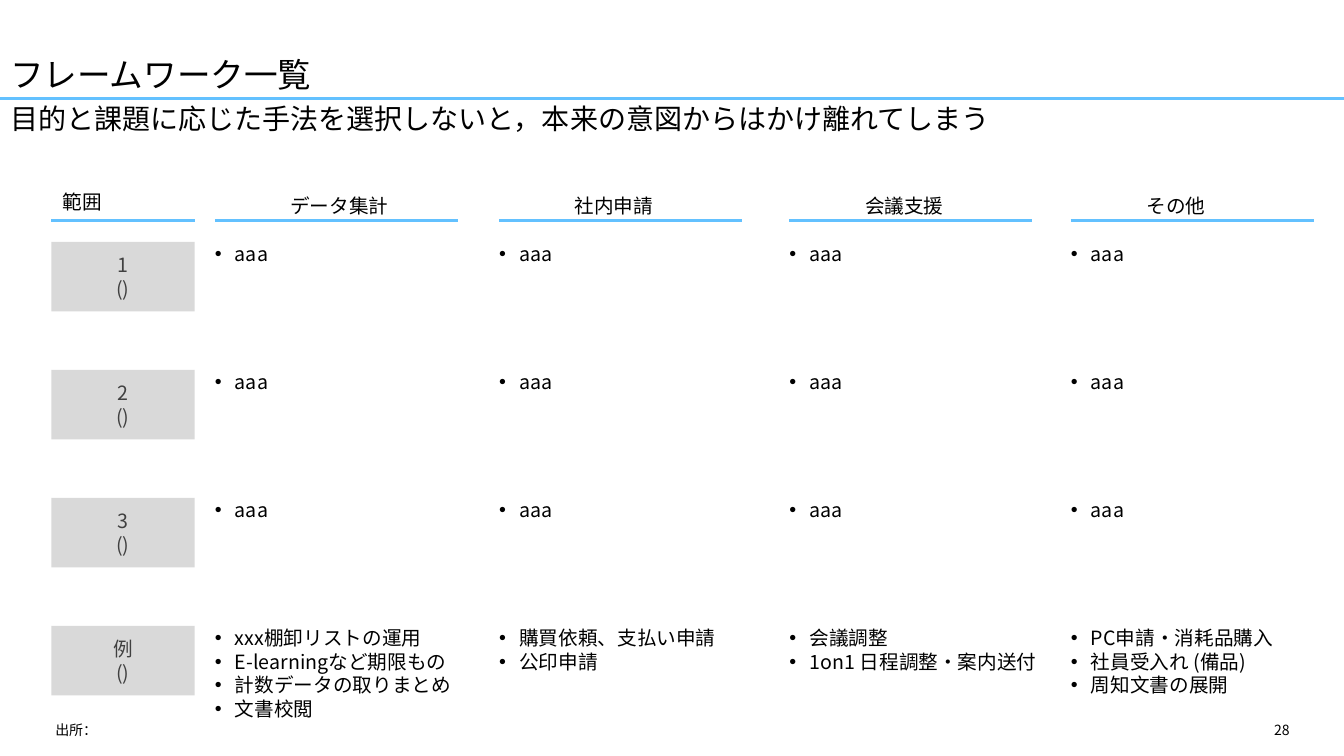
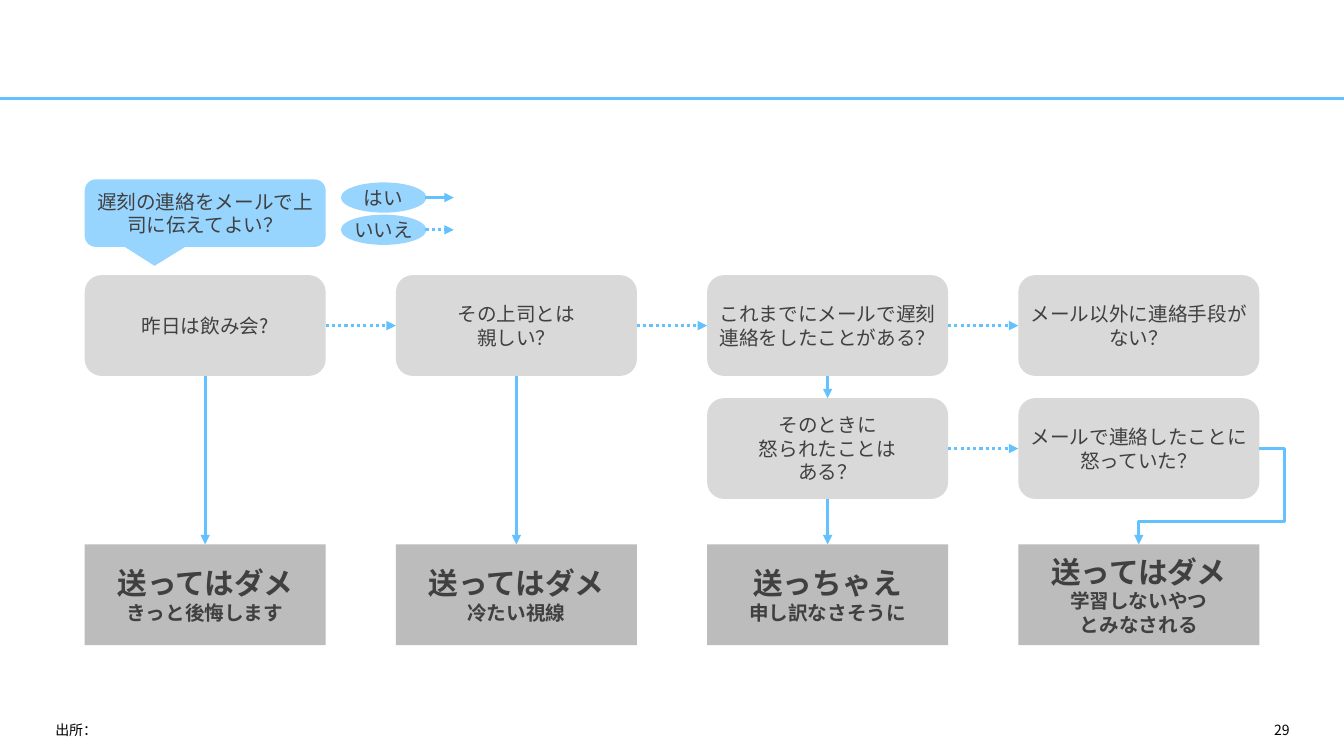
from lxml.etree import SubElement
from pptx import Presentation
from pptx.dml.color import RGBColor
from pptx.enum.dml import MSO_LINE
from pptx.enum.shapes import MSO_CONNECTOR as Connector, MSO_SHAPE as Preset
from pptx.enum.text import MSO_ANCHOR as Anchor, MSO_AUTO_SIZE as AutoSize, PP_ALIGN as Align
from pptx.oxml.ns import qn
from pptx.util import Inches, Pt

# Shared style
FONT = "Noto Sans CJK JP"
BLACK, DARK = "000000", "404040"
ACCENT, LIGHT_BLUE = "63C1FF", "97D5FF"
GRAY, RESULT_GRAY = "D9D9D9", "595959"
SLIDE_WIDTH, SLIDE_HEIGHT = 13.33, 7.5
TITLE_BOTTOM = 0.98
SOURCE_LABEL = "出所："

# Slide 1 content
TITLE = "フレームワーク一覧"
MESSAGE = "目的と課題に応じた手法を選択しないと，本来の意図からはかけ離れてしまう"
SCOPE_HEADER = "範囲"
SCOPES = ["1", "2", "3", "例"]
SAMPLE = ["aaa"]
COLUMNS = [  # heading, left, examples for the last row
    ("データ集計", 2.13, ["xxx棚卸リストの運用", "E-learningなど期限もの",
                      "計数データの取りまとめ", "文書校閲"]),
    ("社内申請", 4.95, ["購買依頼、支払い申請", "公印申請"]),
    ("会議支援", 7.83, ["会議調整", "1on1 日程調整・案内送付"]),
    ("その他", 10.62, ["PC申請・消耗品購入", "社員受入れ (備品)", "周知文書の展開"]),
]
SCOPE_LEFT, SCOPE_WIDTH, SCOPE_HEIGHT = 0.51, 1.42, 0.69
ROW_TOP, ROW_STEP = 2.4, 1.27
HEADER_RULE_TOP = 2.19

# Slide 2 content
THEME_QUESTION = "遅刻の連絡をメールで上司に伝えてよい？"
LEGEND = [("はい", 1.81, False), ("いいえ", 2.13, True)]
QUESTIONS = [  # column, row, lines
    (0, 0, ["昨日は飲み会?"]),
    (1, 0, ["その上司とは", "親しい？"]),
    (2, 0, ["これまでにメールで遅刻連絡をしたことがある？"]),
    (3, 0, ["メール以外に連絡手段がない？"]),
    (2, 1, ["そのときに", "怒られたことは", "ある？"]),
    (3, 1, ["メールで連絡したことに怒っていた？"]),
]
RESULTS = [
    ["送ってはダメ", "きっと後悔します"],
    ["送ってはダメ", "冷たい視線"],
    ["送っちゃえ", "申し訳なさそうに"],
    ["送ってはダメ", "学習しないやつ", "とみなされる"],
]
RESULT_ROW = 2
YES_LINKS = [((0, 0), (0, 2)), ((1, 0), (1, 2)), ((2, 0), (2, 1)), ((2, 1), (2, 2))]
NO_LINKS = [((0, 0), (1, 0)), ((1, 0), (2, 0)), ((2, 0), (3, 0)), ((2, 1), (3, 1))]
FLOW_LEFT = 0.84
FLOW_STEP = (10.1 - FLOW_LEFT) / 3
FLOW_TOPS = [2.73, 3.95, 5.4]
BOX_WIDTH, BOX_HEIGHT = 2.39, 1
TOP_SITE, LEFT_SITE, BOTTOM_SITE, RIGHT_SITE = range(4)


def color(value):
    return RGBColor.from_string(value)


def place(shape, left, top, width, height):
    shape.left, shape.top = Inches(left), Inches(top)
    shape.width, shape.height = Inches(width), Inches(height)


def write(frame, lines, size=14, ink=BLACK, align=Align.LEFT, inset=0, bullet=None,
          first_size=None, bold=False):
    """Fill a frame; bullet is None (inherit), a character, or "" for none."""
    frame.margin_left = frame.margin_right = Inches(inset)
    frame.margin_top = frame.margin_bottom = Inches(inset / 2)
    frame.auto_size = AutoSize.NONE
    for index, line in enumerate(lines):
        paragraph = frame.paragraphs[0] if index == 0 else frame.add_paragraph()
        paragraph.text = line
        paragraph.alignment = align
        paragraph.space_before = Pt(0)
        if bullet is not None:
            properties = paragraph._p.get_or_add_pPr()
            indent = Inches(0.2) if bullet else 0
            properties.set("marL", str(indent))
            properties.set("indent", str(-indent))
            if bullet:
                SubElement(properties, qn("a:buFont")).set("typeface", "Arial")
                SubElement(properties, qn("a:buChar")).set("char", bullet)
            else:
                SubElement(properties, qn("a:buNone"))
        font = paragraph.font
        font.name, font.bold = FONT, bold
        font.size = Pt(first_size if first_size and index == 0 else size)
        font.color.rgb = color(ink)
        defaults = paragraph._p.pPr.find(qn("a:defRPr"))
        SubElement(defaults, qn("a:ea")).set("typeface", FONT)


def add_text(slide, lines, left, top, width, height, wrap=True, **style):
    frame = slide.shapes.add_textbox(
        Inches(left), Inches(top), Inches(width), Inches(height)).text_frame
    frame.word_wrap = wrap
    write(frame, lines, **style)


def add_box(slide, preset, lines, left, top, width, height, fill, **style):
    shape = slide.shapes.add_shape(
        preset, Inches(left), Inches(top), Inches(width), Inches(height))
    shape.shadow.inherit = False
    shape.fill.solid()
    shape.fill.fore_color.rgb = color(fill)
    shape.line.fill.background()
    shape.text_frame.word_wrap = True
    shape.text_frame.vertical_anchor = Anchor.MIDDLE
    write(shape.text_frame, lines, ink=DARK, align=Align.CENTER, **style)
    return shape


def add_line(slide, start=(0, 0), end=(0, 0), arrow=False, dotted=False,
             kind=Connector.STRAIGHT):
    line = slide.shapes.add_connector(kind, *(Inches(value) for value in (*start, *end)))
    line.line.color.rgb = color(ACCENT)
    line.line.width = Pt(2.25)
    if dotted:
        line.line.dash_style = MSO_LINE.ROUND_DOT
    if arrow:
        SubElement(line.line._get_or_add_ln(), qn("a:tailEnd")).set("type", "triangle")
    SubElement(line._element.spPr, qn("a:effectLst"))
    return line


def link(slide, source, source_site, target, target_site, **style):
    line = add_line(slide, arrow=True, **style)
    line.begin_connect(source, source_site)
    line.end_connect(target, target_site)
    return line


def add_frame(slide, number):
    """Title rule, source label and page number of every slide."""
    add_line(slide, (0, TITLE_BOTTOM), (SLIDE_WIDTH, TITLE_BOTTOM))
    add_text(slide, [SOURCE_LABEL], 0.45, 7.11, 8.47, 0.24, size=10, inset=0.1)
    add_text(slide, [str(number)], 9.42, 7.11, 3.47, 0.24, size=10, inset=0.1,
             align=Align.RIGHT)


def build_framework_list(presentation):
    slide = presentation.slides.add_slide(presentation.slide_layouts[1])
    add_frame(slide, 28)

    # Title and message
    title, message = slide.shapes.title, slide.placeholders[1]
    place(title, 0, 0, SLIDE_WIDTH, 0.99)
    title.text_frame.vertical_anchor = Anchor.BOTTOM
    write(title.text_frame, [TITLE], size=24, inset=0.1)
    place(message, 0, 0.99, SLIDE_WIDTH, 0.55)
    write(message.text_frame, [MESSAGE], size=20, inset=0.1, bullet="")
    for shape in (title, message):
        shape.text_frame.paragraphs[0].line_spacing = 0.9

    # Scope column
    add_text(slide, [SCOPE_HEADER], 0.62, 1.88, 0.39, 0.24, wrap=False)
    add_line(slide, (SCOPE_LEFT, HEADER_RULE_TOP),
             (SCOPE_LEFT + SCOPE_WIDTH, HEADER_RULE_TOP))
    row_tops = [ROW_TOP + ROW_STEP * row for row in range(len(SCOPES))]
    for scope, top in zip(SCOPES, row_tops):
        add_box(slide, Preset.RECTANGLE, [scope, "()"], SCOPE_LEFT, top,
                SCOPE_WIDTH, SCOPE_HEIGHT, GRAY)

    # Category columns
    for heading, left, examples in COLUMNS:
        add_text(slide, [heading], left + 0.75, 1.92, 0.98, 0.24, wrap=False)
        add_line(slide, (left, HEADER_RULE_TOP), (left + 2.41, HEADER_RULE_TOP))
        cells = [SAMPLE] * (len(SCOPES) - 1) + [examples]
        for items, top in zip(cells, row_tops):
            add_text(slide, items, left, top, 2.48, 0.24 * len(items), bullet="•")


def build_flowchart(presentation):
    slide = presentation.slides.add_slide(presentation.slide_layouts[6])
    add_frame(slide, 29)

    # Theme and legend
    callout = add_box(slide, Preset.ROUNDED_RECTANGULAR_CALLOUT, [THEME_QUESTION],
                      FLOW_LEFT, 1.78, BOX_WIDTH, 0.67, LIGHT_BLUE)
    callout.adjustments[0], callout.adjustments[1] = -0.21, 0.78
    for answer, top, dotted in LEGEND:
        add_box(slide, Preset.OVAL, [answer], 3.38, top, 0.85, 0.3, LIGHT_BLUE)
        add_line(slide, (4.22, top + 0.15), (4.5, top + 0.15), arrow=True, dotted=dotted)

    # Questions and results, keyed by column and row
    boxes = {}
    for column, row, lines in QUESTIONS:
        boxes[column, row] = add_box(
            slide, Preset.ROUNDED_RECTANGLE, lines, FLOW_LEFT + FLOW_STEP * column,
            FLOW_TOPS[row], BOX_WIDTH, BOX_HEIGHT, GRAY)
    for column, lines in enumerate(RESULTS):
        box = add_box(
            slide, Preset.RECTANGLE, lines, FLOW_LEFT + FLOW_STEP * column,
            FLOW_TOPS[RESULT_ROW], BOX_WIDTH, BOX_HEIGHT, RESULT_GRAY,
            first_size=21.2, bold=True)
        fill_color = box._element.spPr.find(qn("a:solidFill"))[0]
        SubElement(fill_color, qn("a:alpha")).set("val", "40000")
        boxes[column, RESULT_ROW] = box

    # Arrows
    for source, target in YES_LINKS:
        link(slide, boxes[source], BOTTOM_SITE, boxes[target], TOP_SITE)
    for source, target in NO_LINKS:
        link(slide, boxes[source], RIGHT_SITE, boxes[target], LEFT_SITE, dotted=True)
    detour = link(slide, boxes[3, 1], RIGHT_SITE, boxes[3, RESULT_ROW], TOP_SITE,
                  kind=Connector.ELBOW)
    geometry = detour._element.spPr.find(qn("a:prstGeom"))
    geometry.set("prst", "bentConnector4")
    guides = geometry.get_or_add_avLst()
    for name, value in (("adj1", -21000), ("adj2", 76000)):
        guide = SubElement(guides, qn("a:gd"))
        guide.set("name", name)
        guide.set("fmla", f"val {value}")


def main():
    presentation = Presentation()
    presentation.slide_width = Inches(SLIDE_WIDTH)
    presentation.slide_height = Inches(SLIDE_HEIGHT)
    build_framework_list(presentation)
    build_flowchart(presentation)
    presentation.save("out.pptx")


if __name__ == "__main__":
    main()
